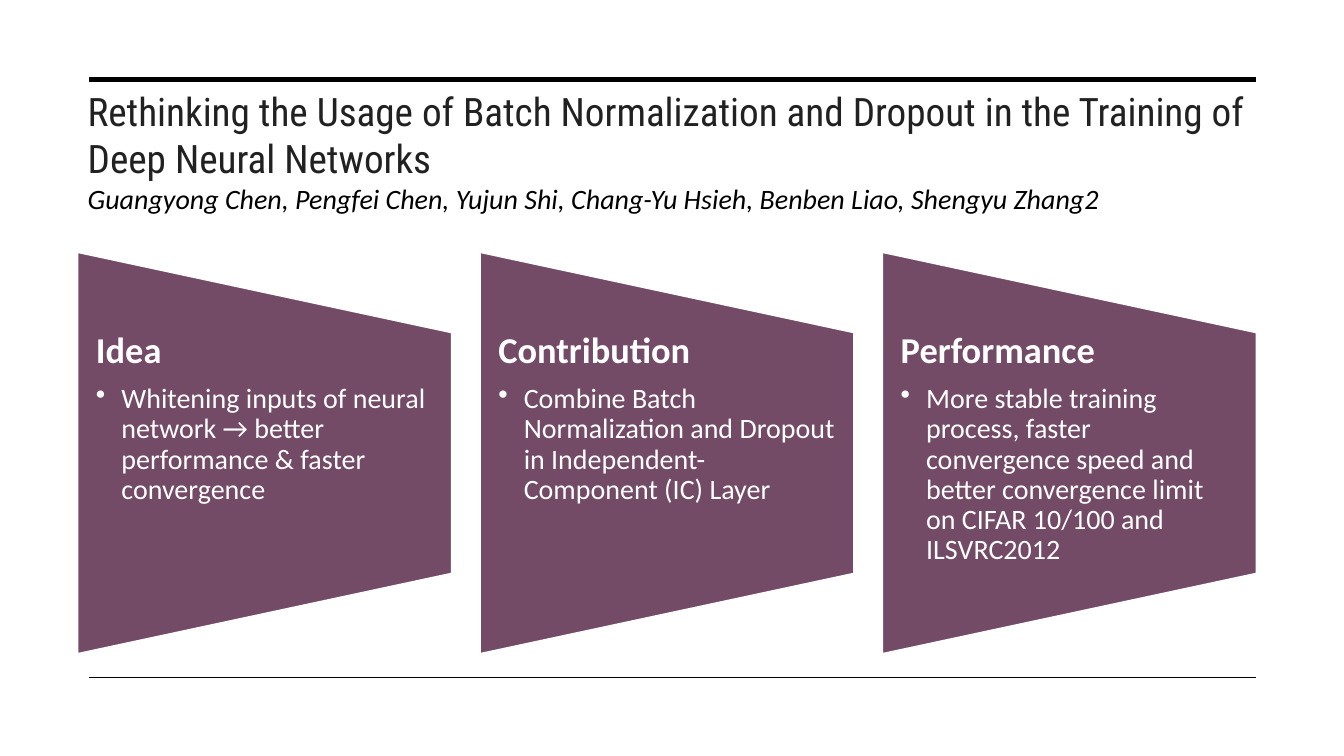
from dataclasses import dataclass

import pptx
import pptx.dml.color
import pptx.enum.shapes
import pptx.oxml.ns
import pptx.util
from lxml import etree

Cm = pptx.util.Cm
Pt = pptx.util.Pt

LEFT, RIGHT = 2.24, 31.65
PANEL_LEFT, PANEL_TOP, PANEL_PITCH = 1.96, 6.36, 10.14
PANEL_WIDTH, PANEL_HEIGHT = 9.42, 10.11
POINT_TOP, POINT_HEIGHT = 8.38, 6.07
PLUM, WHITE, BLACK, CHARCOAL = "734B67", "FFFFFF", "000000", "212121"


@dataclass
class Panel:
    heading: str
    point: str


@dataclass
class Rule:
    y: float
    weight: float


PANELS = [
    Panel("Idea", "Whitening inputs of neural network → better performance & faster convergence"),
    Panel("Contribution",
          "Combine Batch Normalization and Dropout in Independent-Component (IC) Layer"),
    Panel("Performance",
          "More stable training process, faster convergence speed and better "
          "convergence limit on CIFAR 10/100 and ILSVRC2012"),
]
RULES = [Rule(2.01, 3.5), Rule(17.07, 1)]


def color(value: str) -> pptx.dml.color.RGBColor:
    return pptx.dml.color.RGBColor.from_string(value)


def add_frame(slide, left: float, top: float, width: float, height: float,
              side: float = 0.25, edge: float = 0.13):
    """Add a wrapping text box with the given side and top/bottom margins."""
    frame = slide.shapes.add_textbox(Cm(left), Cm(top), Cm(width), Cm(height)).text_frame
    frame.word_wrap = True
    frame.margin_left = frame.margin_right = Cm(side)
    frame.margin_top = frame.margin_bottom = Cm(edge)
    return frame


def write(frame, text: str, *, size: float, fill: str, font: str = "Calibri",
          bold: bool = False, italic: bool = False, spacing: float = 1.0,
          after: float = 0, bullet: bool = False) -> None:
    """Write one paragraph, filling the first one while it is still empty."""
    first = frame.paragraphs[0]
    paragraph = frame.add_paragraph() if first.runs else first
    paragraph.line_spacing = spacing
    paragraph.space_after = Pt(after)
    run = paragraph.add_run()
    run.text = text
    run.font.name = font
    run.font.size = Pt(size)
    run.font.bold = bold
    run.font.italic = italic
    run.font.color.rgb = color(fill)
    if bullet:
        paragraph.level = 1
        properties = paragraph._p.get_or_add_pPr()
        indent = Cm(0.64)
        properties.set("marL", str(indent))
        properties.set("indent", str(-indent))
        mark = etree.SubElement(properties, pptx.oxml.ns.qn("a:buChar"))
        mark.set("char", "•")


def draw_rule(slide, rule: Rule) -> None:
    line = slide.shapes.add_connector(
        pptx.enum.shapes.MSO_CONNECTOR.STRAIGHT,
        Cm(LEFT), Cm(rule.y), Cm(RIGHT), Cm(rule.y))
    line.line.color.rgb = color(BLACK)
    line.line.width = Pt(rule.weight)
    etree.SubElement(line._element.spPr, pptx.oxml.ns.qn("a:effectLst"))


def draw_panel(slide, panel: Panel, left: float) -> None:
    # The flowchart shape is turned on its side, so its unrotated box swaps width and height.
    turn = (PANEL_HEIGHT - PANEL_WIDTH) / 2
    backdrop = slide.shapes.add_shape(
        pptx.enum.shapes.MSO_SHAPE.FLOWCHART_MANUAL_OPERATION,
        Cm(left - turn), Cm(PANEL_TOP + turn), Cm(PANEL_HEIGHT), Cm(PANEL_WIDTH))
    backdrop.rotation = 270
    backdrop.shadow.inherit = False
    backdrop.fill.solid()
    backdrop.fill.fore_color.rgb = color(PLUM)
    backdrop.line.color.rgb = color(WHITE)
    backdrop.line.width = Pt(1)

    body = add_frame(slide, left, POINT_TOP, PANEL_WIDTH, POINT_HEIGHT, side=0.46, edge=0)
    write(body, panel.heading, size=26, fill=WHITE, bold=True, spacing=0.9, after=9)
    write(body, panel.point, size=20, fill=WHITE, spacing=0.9, after=3, bullet=True)


def main() -> None:
    deck = pptx.Presentation()
    deck.slide_width, deck.slide_height = Cm(33.87), Cm(19.05)
    slide = deck.slides.add_slide(deck.slide_layouts[6])

    for rule in RULES:
        draw_rule(slide, rule)
    for column, panel in enumerate(PANELS):
        draw_panel(slide, panel, PANEL_LEFT + column * PANEL_PITCH)

    title = add_frame(slide, PANEL_LEFT, 2.06, 29.69, 3.51)
    write(title, "Rethinking the Usage of Batch Normalization and Dropout in the Training of "
          "Deep Neural Networks", size=28, fill=CHARCOAL, font="Roboto Condensed")
    write(title, "Guangyong Chen, Pengfei Chen, Yujun Shi, Chang-Yu Hsieh, Benben Liao, "
          "Shengyu Zhang2", size=20, fill=BLACK, italic=True)

    deck.save("out.pptx")


if __name__ == "__main__":
    main()
